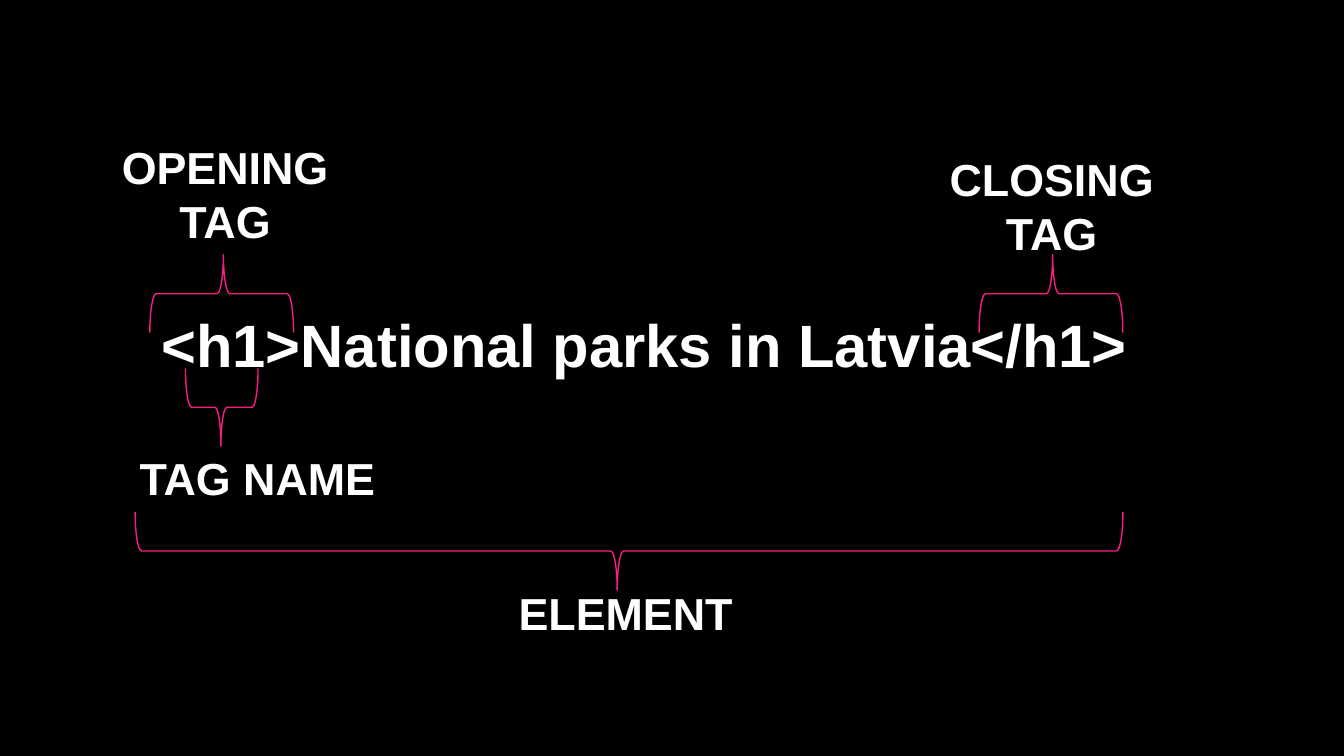
from dataclasses import dataclass

from pptx import Presentation
from pptx.dml.color import RGBColor
from pptx.enum.shapes import MSO_SHAPE
from pptx.enum.text import MSO_ANCHOR, MSO_AUTO_SIZE, PP_ALIGN
from pptx.util import Pt

BRACE = MSO_SHAPE.RIGHT_BRACE
CENTER = PP_ALIGN.CENTER
PX = 4572
BRACE_DEPTH = 116
UP, DOWN = 270, 90


@dataclass(frozen=True)
class Theme:
    """Colours and type sizes of the slide."""
    back: RGBColor = RGBColor(0x00, 0x00, 0x00)
    text: RGBColor = RGBColor(0xFF, 0xFF, 0xFF)
    accent: RGBColor = RGBColor(0xFB, 0x1C, 0x85)
    font: str = "Arial"
    indent: int = 36
    code: int = 32
    label: int = 24
    line: float = 0.75


THEME = Theme()
FRAME = {
    "word_wrap": True,
    "auto_size": MSO_AUTO_SIZE.NONE,
    "vertical_anchor": MSO_ANCHOR.TOP,
}


def set_all(obj, values):
    """Set each named attribute of an object."""
    for name, value in values.items():
        setattr(obj, name, value)


def place(s, box):
    """Move and size a shape to a box in px."""
    names = ("left", "top", "width", "height")
    set_all(s, {name: round(v * PX) for name, v in zip(names, box)})


def write(s, paragraphs):
    """Fill a shape with centred paragraphs of (text, size) runs."""
    tf = s.text_frame
    set_all(tf, FRAME)
    for i, runs in enumerate(paragraphs):
        p = tf.add_paragraph() if i else tf.paragraphs[0]
        p.alignment = CENTER
        for text, size in runs:
            r = p.add_run()
            r.text = text
            set_all(r.font, {"name": THEME.font, "size": Pt(size), "bold": True})
            r.font.color.rgb = THEME.text


def add_code(slide, box):
    """Place the HTML line in the title placeholder."""
    s = slide.shapes.title
    place(s, box)
    write(s, [[(" ", THEME.indent),
               ("<h1>National parks in Latvia</h1>", THEME.code)]])


def add_brace(slide, x, y, span, rotation):
    """Draw a brace that lies across a span and points up or down."""
    s = slide.shapes.add_shape(BRACE, 0, 0, 0, 0)
    shift = (span - BRACE_DEPTH) / 2
    place(s, (x + shift, y - shift, BRACE_DEPTH, span))
    s.rotation = rotation
    s.adjustments[0], s.adjustments[1] = 0.083, 0.512
    s.shadow.inherit = False
    s.fill.background()
    s.line.color.rgb = THEME.accent
    s.line.width = Pt(THEME.line)


def add_callout(slide, x, y, span, rotation, label_box, lines):
    """Draw a brace and its label, offset from the brace's corner."""
    add_brace(slide, x, y, span, rotation)
    dx, dy, w, h = label_box
    s = slide.shapes.add_textbox(0, 0, 0, 0)
    place(s, (x + dx, y + dy, w, h))
    write(s, [[(line, THEME.label)] for line in lines])


def main():
    """Build the slide on the parts of an HTML element."""
    prs = Presentation()
    set_all(prs, {"slide_width": 2000 * PX, "slide_height": 1125 * PX})
    slide = prs.slides.add_slide(prs.slide_layouts[5])
    fill = slide.background.fill
    fill.solid()
    fill.fore_color.rgb = THEME.back

    add_code(slide, (167, 437, 1558, 142))
    callouts = [
        (223, 379, 214, UP, (-81, -181, 386, 182), ["OPENING TAG"]),
        (276, 548, 108, DOWN, (-250, 113, 714, 100), ["TAG NAME"]),
        (1457, 379, 214, UP, (-85, -163, 386, 182), ["CLOSING", "TAG"]),
        (201, 762, 1470, DOWN, (373, 100, 714, 100), ["ELEMENT"]),
    ]
    for callout in callouts:
        add_callout(slide, *callout)
    prs.save("out.pptx")


if __name__ == "__main__":
    main()
